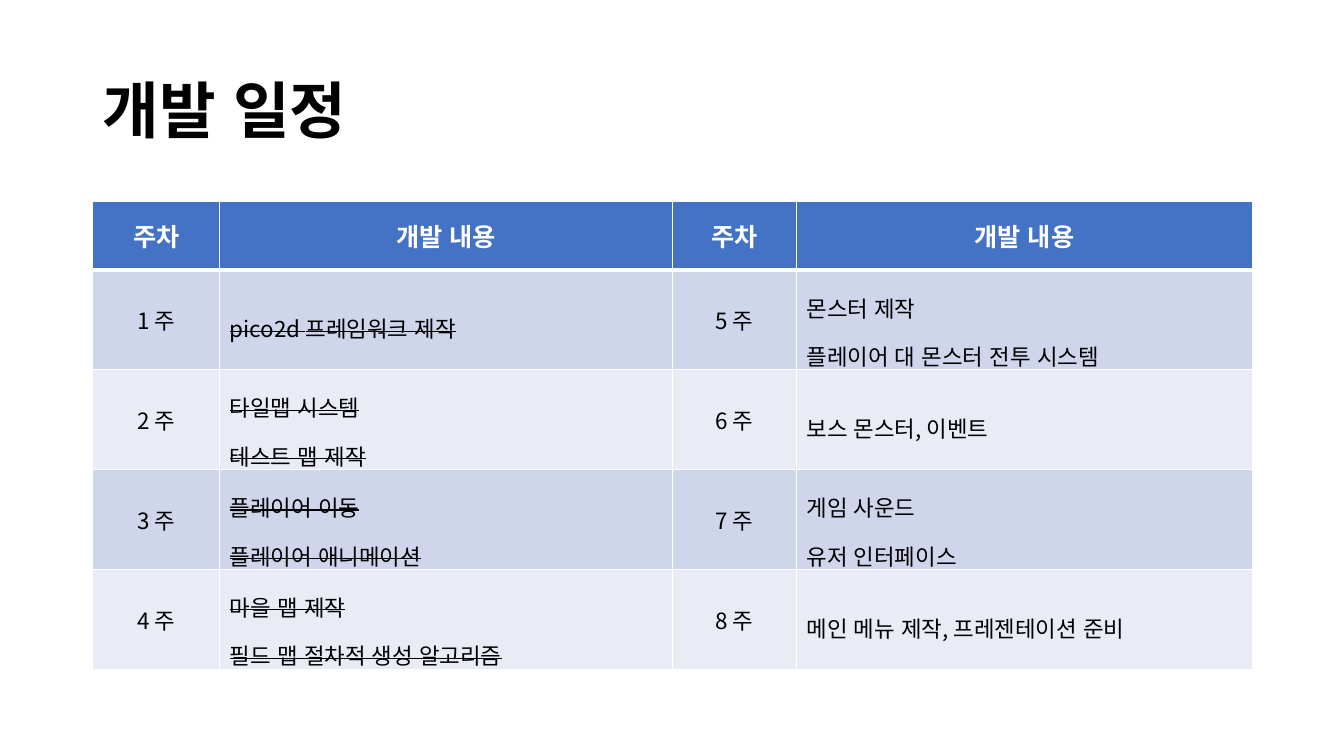
"""Build the development schedule slide."""
from pptx import Presentation
from pptx.dml.color import RGBColor as Rgb
from pptx.enum.text import MSO_ANCHOR as Anchor, PP_ALIGN as Align
from pptx.oxml import parse_xml
from pptx.oxml.ns import nsdecls
from pptx.util import Inches, Pt

TITLE = "개발 일정"
HEADINGS = ["주차", "개발 내용"]
DONE = [
    ("1 주", ["pico2d 프레임워크 제작"]),
    ("2 주", ["타일맵 시스템", "테스트 맵 제작"]),
    ("3 주", ["플레이어 이동", "플레이어 애니메이션"]),
    ("4 주", ["마을 맵 제작", "필드 맵 절차적 생성 알고리즘"]),
]
PLANNED = [
    ("5 주", ["몬스터 제작", "플레이어 대 몬스터 전투 시스템"]),
    ("6 주", ["보스 몬스터, 이벤트"]),
    ("7 주", ["게임 사운드", "유저 인터페이스"]),
    ("8 주", ["메인 메뉴 제작, 프레젠테이션 준비"]),
]
COLUMNS = [1.26, 4.49, 1.23, 4.52]
HEADER_HEIGHT, WEEK_HEIGHT = 0.68, 0.99
LEFT, WIDTH = 0.92, 11.5

THEME = {
    "font": "Noto Sans CJK KR",
    "header": "4472C4",
    "bands": ["CFD5EA", "E9EBF5"],
    "line": "FFFFFF",
    "title": {"size": Pt(44), "bold": True, "color": "000000"},
    "heading": {"size": Pt(18), "bold": True, "color": "FFFFFF"},
    "body": {"size": Pt(16), "bold": False, "color": "000000"},
}


def write(frame, lines, style, align, spacing=None, strike=False):
    """Fill a text frame with one paragraph per line."""
    for index, line in enumerate(lines):
        para = frame.add_paragraph() if index else frame.paragraphs[0]
        para.alignment = align
        para.line_spacing = spacing
        span = para.add_run()
        span.text = line
        formats = {"name": THEME["font"], "size": style["size"], "bold": style["bold"]}
        for name, value in formats.items():
            setattr(span.font, name, value)
        span.font.color.rgb = Rgb.from_string(style["color"])
        props = span._r.get_or_add_rPr()
        props.set("lang", "ko-KR")
        if strike:
            props.set("strike", "sngStrike")
        props.append(parse_xml(f'<a:ea {nsdecls("a")} typeface="{THEME["font"]}"/>'))


def style_cell(cell, fill, top=1, bottom=1):
    """Set the anchor, borders and fill of a cell."""
    cell.vertical_anchor = Anchor.MIDDLE
    props = cell._tc.get_or_add_tcPr()
    for side, width in {"L": 1, "R": 1, "T": top, "B": bottom}.items():
        props.append(parse_xml(
            f'<a:ln{side} {nsdecls("a")} w="{Pt(width)}"><a:solidFill>'
            f'<a:srgbClr val="{THEME["line"]}"/></a:solidFill></a:ln{side}>'))
    cell.fill.solid()
    cell.fill.fore_color.rgb = Rgb.from_string(fill)


def add_title(page):
    """Place the slide title."""
    box = page.shapes.add_textbox(Inches(LEFT), Inches(0.4), Inches(WIDTH), Inches(1.45))
    box.text_frame.word_wrap = True
    box.text_frame.vertical_anchor = Anchor.MIDDLE
    write(box.text_frame, [TITLE], THEME["title"], Align.LEFT, 0.9)


def add_schedule(page):
    """Place the table with finished weeks left and planned weeks right."""
    heights = [HEADER_HEIGHT] + [WEEK_HEIGHT] * len(DONE)
    table = page.shapes.add_table(
        len(heights), len(COLUMNS), Inches(LEFT), Inches(2),
        Inches(WIDTH), Inches(sum(heights))).table
    for column, width in zip(table.columns, COLUMNS):
        column.width = Inches(width)
    for row, height in zip(table.rows, heights):
        row.height = Inches(height)

    for index, heading in enumerate(HEADINGS * 2):
        cell = table.cell(0, index)
        style_cell(cell, THEME["header"], bottom=3)
        write(cell.text_frame, [heading], THEME["heading"], Align.CENTER)

    for start, weeks, strike in [(0, DONE, True), (2, PLANNED, False)]:
        for index, (week, tasks) in enumerate(weeks):
            week_cell = table.cell(index + 1, start)
            task_cell = table.cell(index + 1, start + 1)
            for cell in (week_cell, task_cell):
                style_cell(cell, THEME["bands"][index % 2], top=1 if index else 3)
            write(week_cell.text_frame, [week], THEME["body"], Align.CENTER)
            write(task_cell.text_frame, tasks, THEME["body"], Align.JUSTIFY, 1.5, strike)


def main():
    """Create and save the deck."""
    deck = Presentation()
    deck.slide_width, deck.slide_height = Inches(13.33), Inches(7.5)
    page = deck.slides.add_slide(deck.slide_layouts[6])
    add_title(page)
    add_schedule(page)
    deck.save("out.pptx")


if __name__ == "__main__":
    main()
